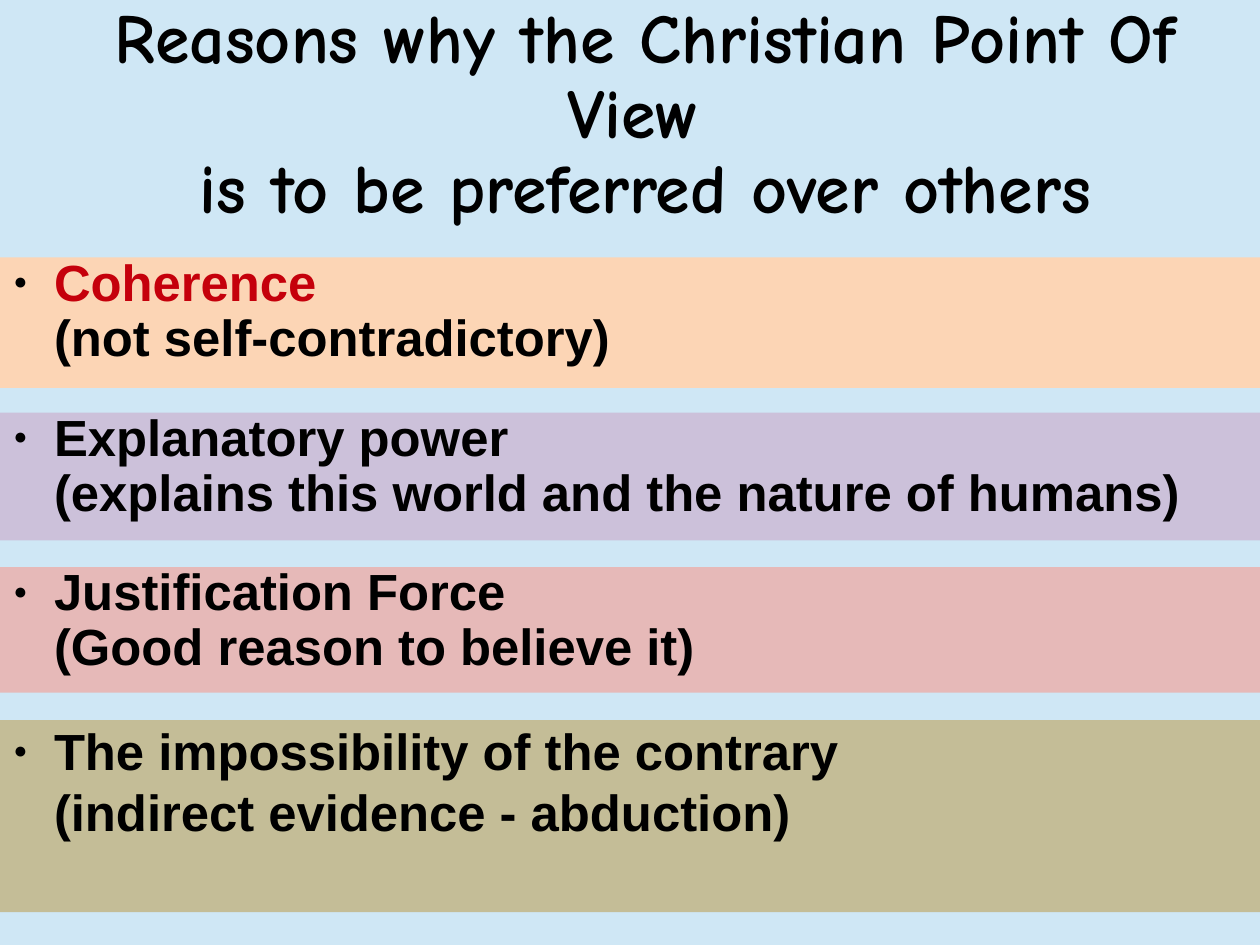
from lxml import etree
from pptx import Presentation
from pptx.dml.color import RGBColor
from pptx.enum import text
from pptx.oxml import ns
from pptx.util import Cm, Pt

COLORS = {
    "background": "CFE7F5",
    "text": "000000",
    "highlight": "C5000B",
    "peach": "FCD5B5",
    "lilac": "CCC1DA",
    "rose": "E6B9B8",
    "khaki": "C4BD97",
}
WIDTH, HEIGHT = Cm(28), Cm(21)

TITLE = "Reasons why the Christian Point Of View \vis to be preferred over others"

# Top and height in cm, fill, heading colour, line spacing, space before, text
REASONS = [
    (5.72, 2.9, "peach", "highlight", 0.9, 10,
     "Coherence \v(not self-contradictory)"),
    (9.17, 2.84, "lilac", "text", 0.9, 10,
     "Explanatory power\v(explains this world and the nature of humans)"),
    (12.6, 2.79, "rose", "text", 0.9, 10,
     "Justification Force\v(Good reason to believe it)"),
    (16, 4.27, "khaki", "text", 1.0, 0,
     "The impossibility of the contrary\v(indirect evidence - abduction)"),
]


def rgb(name):
    return RGBColor.from_string(COLORS[name])


def place(sp, left, top, width, height):
    sp.left, sp.top, sp.width, sp.height = left, top, width, height


def fill_text(sp, content, anchor, font, size):
    """Put text in a placeholder without margins; return its paragraph."""
    tf = sp.text_frame
    tf.text = content
    tf.word_wrap = True
    tf.auto_size = text.MSO_AUTO_SIZE.NONE
    tf.vertical_anchor = anchor
    tf.margin_left = tf.margin_top = tf.margin_right = tf.margin_bottom = 0
    p = tf.paragraphs[0]
    p.font.size = Pt(size)
    for r in p.runs:
        r.font.name = font
        r.font.size = Pt(size)
        r.font.bold = True
        r.font.color.rgb = rgb("text")
    return p


def add_bullet(p):
    pPr = p._p.get_or_add_pPr()
    pPr.set("marL", str(Cm(1.2)))
    pPr.set("indent", str(Cm(-0.9)))
    bullet = [
        etree.Element(ns.qn("a:buClr")),
        etree.Element(ns.qn("a:buSzPct"), val="45000"),
        etree.Element(ns.qn("a:buChar"), char="●"),
    ]
    etree.SubElement(bullet[0], ns.qn("a:srgbClr"), val=COLORS["text"])
    # Bullet settings come after the spacing and before the run defaults
    defaults = pPr.find(ns.qn("a:defRPr"))
    for element in bullet:
        defaults.addprevious(element)


def add_title(s):
    sp = s.shapes.title
    place(sp, Cm(1.4), Cm(-0.03), Cm(25.9), Cm(5.21))
    p = fill_text(sp, TITLE, text.MSO_ANCHOR.MIDDLE, "Comic Neue", 44)
    p.alignment = text.PP_ALIGN.CENTER
    p.line_spacing = 0.9


def add_reason(sp, top, height, fill, heading, spacing, before, content):
    place(sp, 0, Cm(top), WIDTH, Cm(height))
    sp.fill.solid()
    sp.fill.fore_color.rgb = rgb(fill)
    p = fill_text(sp, content, text.MSO_ANCHOR.TOP, "Arial", 32)
    p.line_spacing = spacing
    p.space_before = Pt(before)
    p.space_after = Pt(14.2)
    p.runs[0].font.color.rgb = rgb(heading)
    add_bullet(p)


def main():
    prs = Presentation()
    prs.slide_width, prs.slide_height = WIDTH, HEIGHT

    # The Comparison layout offers a title and four body placeholders
    s = prs.slides.add_slide(prs.slide_layouts.get_by_name("Comparison"))
    s.background.fill.solid()
    s.background.fill.fore_color.rgb = rgb("background")

    # Title
    add_title(s)

    # One coloured band for each reason
    bodies = [sp for sp in s.placeholders if sp.placeholder_format.idx > 0]
    for sp, reason in zip(bodies, REASONS):
        add_reason(sp, *reason)

    prs.save("out.pptx")


if __name__ == "__main__":
    main()
